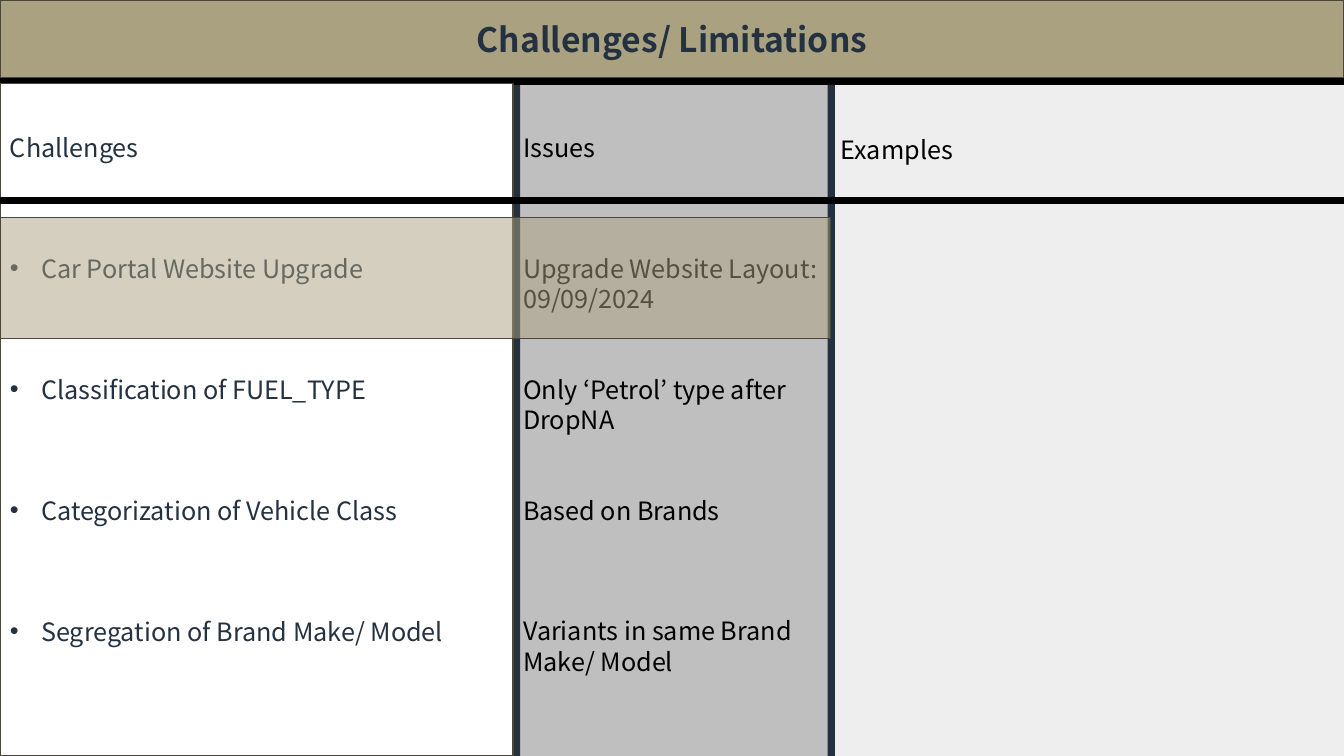
from lxml.etree import SubElement
from pptx import Presentation
from pptx.dml.color import RGBColor
from pptx.enum.shapes import MSO_CONNECTOR, MSO_SHAPE
from pptx.enum.text import MSO_ANCHOR, PP_ALIGN
from pptx.oxml.ns import qn
from pptx.util import Inches, Pt

TITLE = "Challenges/ Limitations"
CHALLENGES = [
    "Challenges",
    "Car Portal Website Upgrade",
    "Classification of FUEL_TYPE",
    "Categorization of Vehicle Class",
    "Segregation of Brand Make/ Model",
]
ISSUES = [
    ("Issues", 1),
    ("Upgrade Website Layout: 09/09/2024", 2),
    ("Only ‘Petrol’ type after DropNA", 2),
    ("Based on Brands", 1),
    ("Variants in same Brand Make/ Model", 2),
]
EXAMPLES = "Examples"

BLACK = RGBColor(0x00, 0x00, 0x00)
WHITE = RGBColor(0xFF, 0xFF, 0xFF)
NAVY = RGBColor(0x24, 0x31, 0x41)
KHAKI = RGBColor(0xAA, 0xA1, 0x80)
OLIVE = RGBColor(0x4B, 0x47, 0x38)
FONT = "Noto Sans CJK JP"

WIDTH, HEIGHT = 13.33, 7.5
HEADER_HEIGHT = 0.77
BODY_TOP = 0.83
HEADING_TOP = 1.26
RULE_TOP = 1.99
ISSUES_LEFT, EXAMPLES_LEFT = 5.09, 8.24
COLUMN_WIDTH = EXAMPLES_LEFT - ISSUES_LEFT
BAR_WIDTH = 0.07
PANEL_LEFTS = (5.16, 8.28)
ROW_LINES, LINE_HEIGHT = 4, 0.3
ROW_HEIGHT = ROW_LINES * LINE_HEIGHT
HIGHLIGHT_TOP = 2.16
INSET = 0.05

deck = Presentation()
deck.slide_width, deck.slide_height = Inches(WIDTH), Inches(HEIGHT)
slide = deck.slides.add_slide(deck.slide_layouts[6])
slide.background.fill.solid()
slide.background.fill.fore_color.rgb = BLACK


def add_block(left, top, width, height, color, opacity=100, outlined=False):
    block = slide.shapes.add_shape(
        MSO_SHAPE.RECTANGLE, Inches(left), Inches(top), Inches(width), Inches(height))
    block.shadow.inherit = False
    block.fill.solid()
    block.fill.fore_color.rgb = color
    if opacity < 100:
        tint = block.fill._xPr.find(qn("a:solidFill"))[0]
        SubElement(tint, qn("a:alpha"), val=str(opacity * 1000))
    if outlined:
        block.line.color.rgb = OLIVE
        block.line.width = Pt(1)
    else:
        block.line.fill.background()
    return block


def add_rule(top, weight):
    rule = slide.shapes.add_connector(
        MSO_CONNECTOR.STRAIGHT, 0, Inches(top), Inches(WIDTH), Inches(top))
    rule.line.color.rgb = BLACK
    rule.line.width = Pt(weight)
    SubElement(rule._element.spPr, qn("a:effectLst"))


def add_bullet(paragraph):
    properties = paragraph._p.get_or_add_pPr()
    properties.set("marL", str(Inches(0.31)))
    properties.set("indent", str(-Inches(0.31)))
    SubElement(properties, qn("a:buFont"), typeface="Arial")
    SubElement(properties, qn("a:buChar"), char="•")


def write(frame, entries, color, size=18, bold=False, align=PP_ALIGN.LEFT, bulleted=False):
    frame.word_wrap = True
    lines_above = None
    for text, lines in entries:
        first = lines_above is None
        paragraph = frame.paragraphs[0] if first else frame.add_paragraph()
        paragraph.text = text
        paragraph.alignment = align
        if not first:
            paragraph.space_before = Inches((ROW_LINES - lines_above) * LINE_HEIGHT)
            if bulleted:
                add_bullet(paragraph)
        paragraph.font.name = FONT
        paragraph.font.size = Pt(size)
        paragraph.font.bold = bold
        paragraph.font.color.rgb = color
        lines_above = lines


def add_column(left, top, height, entries):
    column = slide.shapes.add_textbox(
        Inches(left), Inches(top), Inches(COLUMN_WIDTH), Inches(height))
    write(column.text_frame, entries, BLACK)


for panel_left in PANEL_LEFTS:
    add_block(panel_left, 0, WIDTH - panel_left, HEIGHT, WHITE, opacity=75)
    add_block(panel_left - BAR_WIDTH, 0, BAR_WIDTH, HEIGHT, NAVY)

add_rule(HEADER_HEIGHT, 10)
header = add_block(0, 0, WIDTH, HEADER_HEIGHT, KHAKI, outlined=True)
header.text_frame.vertical_anchor = MSO_ANCHOR.MIDDLE
write(header.text_frame, [(TITLE, 1)], NAVY, size=24, bold=True, align=PP_ALIGN.CENTER)

challenges = add_block(0, BODY_TOP, ISSUES_LEFT, HEIGHT - BODY_TOP, WHITE, outlined=True)
challenges.text_frame.vertical_anchor = MSO_ANCHOR.TOP
challenges.text_frame.margin_top = Inches(HEADING_TOP + INSET - BODY_TOP)
write(challenges.text_frame, [(text, 1) for text in CHALLENGES], NAVY, bulleted=True)

add_column(ISSUES_LEFT, HEADING_TOP, 5.55, ISSUES)
add_rule(RULE_TOP, 5)
add_column(EXAMPLES_LEFT, HEADING_TOP + 0.02, 0.4, [(EXAMPLES, 1)])
add_block(0, HIGHLIGHT_TOP, EXAMPLES_LEFT, ROW_HEIGHT, KHAKI, opacity=50, outlined=True)

deck.save("out.pptx")
